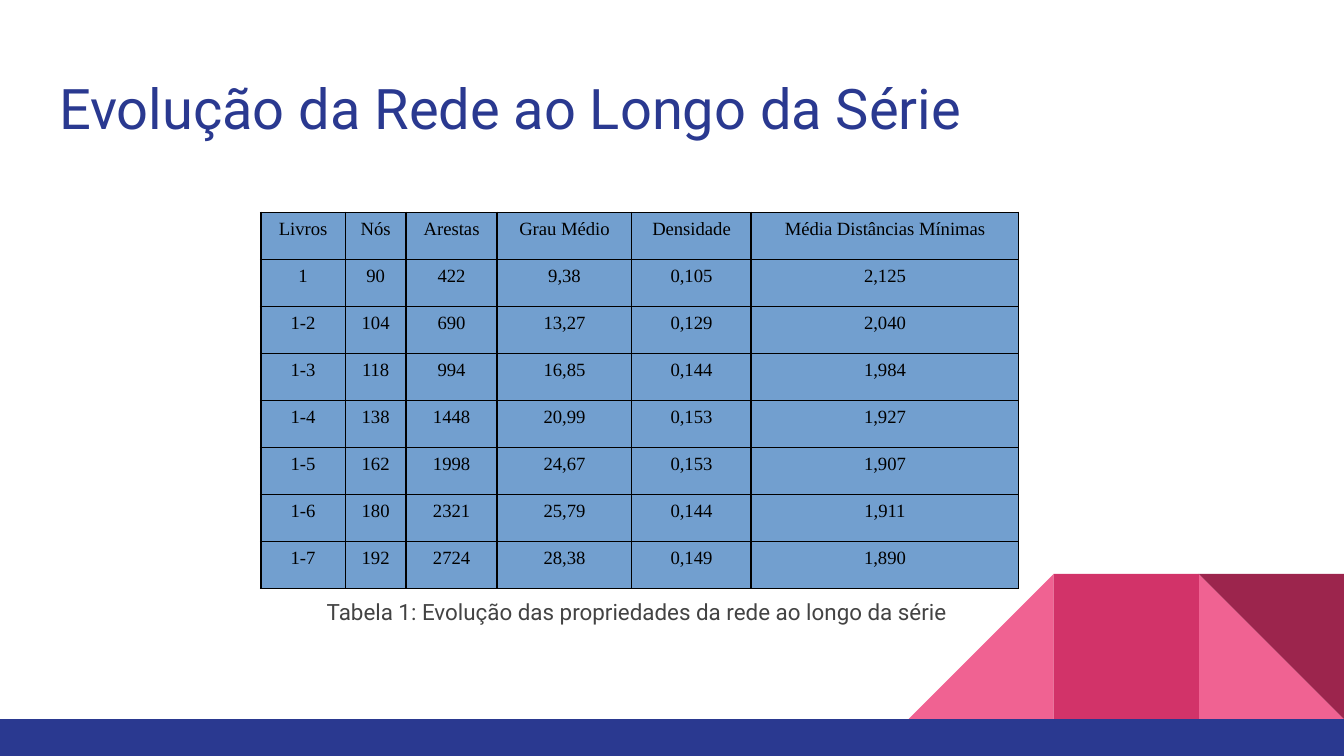
from lxml import etree
from pptx import Presentation
from pptx.dml.color import RGBColor
from pptx.enum import shapes, text
from pptx.oxml import ns
from pptx.util import Inches, Pt

NAVY = RGBColor(0x2A, 0x39, 0x90)
PINK = RGBColor(0xF0, 0x62, 0x92)
ROSE = RGBColor(0xD2, 0x33, 0x69)
WINE = RGBColor(0x9C, 0x25, 0x4D)
BLUE = RGBColor(0x72, 0x9F, 0xCF)
GRAY = RGBColor(0x43, 0x43, 0x43)
BLACK = RGBColor(0, 0, 0)

WIDTH = 10
HEIGHT = WIDTH * 9 / 16
COLS = [0.63, 0.45, 0.68, 1, 0.89, 1.99]
ROWS = [
    ["Livros", "Nós", "Arestas", "Grau Médio", "Densidade", "Média Distâncias Mínimas"],
    ["1", "90", "422", "9,38", "0,105", "2,125"],
    ["1-2", "104", "690", "13,27", "0,129", "2,040"],
    ["1-3", "118", "994", "16,85", "0,144", "1,984"],
    ["1-4", "138", "1448", "20,99", "0,153", "1,927"],
    ["1-5", "162", "1998", "24,67", "0,153", "1,907"],
    ["1-6", "180", "2321", "25,79", "0,144", "1,911"],
    ["1-7", "192", "2724", "28,38", "0,149", "1,890"],
]


def write(frame, words, font, size, color, align):
    """Fill a text frame with one styled paragraph."""
    frame.text = words
    para = frame.paragraphs[0]
    para.alignment = align
    run = para.runs[0].font
    run.name, run.size, run.bold = font, Pt(size), False
    run.color.rgb = color


def add_text(shape, box, words, size, color, align):
    """Place a text shape in its box and write its words."""
    shape.left, shape.top, shape.width, shape.height = map(Inches, box)
    frame = shape.text_frame
    frame.word_wrap = True
    frame.auto_size = text.MSO_AUTO_SIZE.NONE
    frame.vertical_anchor = text.MSO_ANCHOR.TOP
    frame.margin_left = frame.margin_right = Inches(0.1)
    frame.margin_top = frame.margin_bottom = Inches(0.1)
    write(frame, words, "Roboto", size, color, align)


def add_block(slide, kind, box, color, turn=0):
    """Draw a plain filled shape without outline."""
    shape = slide.shapes.add_shape(kind, *map(Inches, box))
    shape.shadow.inherit = False
    shape.fill.solid()
    shape.fill.fore_color.rgb = color
    shape.line.fill.background()
    shape.rotation = turn


def add_decor(slide, left, top, side):
    """Draw the triangles and square above the bottom band."""
    wedge, rect = shapes.MSO_SHAPE.RIGHT_TRIANGLE, shapes.MSO_SHAPE.RECTANGLE
    parts = [(wedge, 2, PINK, 0), (wedge, 0, PINK, 270),
             (rect, 1, ROSE, 0), (wedge, 2, WINE, 180)]
    for kind, step, color, turn in parts:
        add_block(slide, kind, (left + step * side, top, side, side), color, turn)
    base = top + side
    add_block(slide, rect, (0, base, WIDTH, HEIGHT - base), NAVY)


def add_borders(cell):
    """Give a table cell thin black lines on all sides."""
    props = cell._tc.get_or_add_tcPr()
    for side in ("lnL", "lnR", "lnT", "lnB"):
        line = etree.SubElement(props, ns.qn("a:" + side), w=str(Pt(0.96)))
        fill = etree.SubElement(line, ns.qn("a:solidFill"))
        etree.SubElement(fill, ns.qn("a:srgbClr"), val=str(BLACK))


def add_grid(slide, left, top, width, height):
    """Build the table of network properties."""
    box = map(Inches, (left, top, width, height))
    table = slide.shapes.add_table(len(ROWS), len(COLS), *box).table
    table.first_row = table.horz_banding = False
    for col, size in zip(table.columns, COLS):
        col.width = Inches(size)
    for row, words in zip(table.rows, ROWS):
        row.height = Inches(height / len(ROWS))
        for cell, word in zip(row.cells, words):
            cell.margin_left = cell.margin_right = Inches(0.07)
            cell.margin_top = cell.margin_bottom = Inches(0.05)
            add_borders(cell)
            cell.fill.solid()
            cell.fill.fore_color.rgb = BLUE
            write(cell.text_frame, word, "Times New Roman", 10, BLACK,
                  text.PP_ALIGN.CENTER)


def main():
    """Build the slide and save it."""
    deck = Presentation()
    deck.slide_width, deck.slide_height = Inches(WIDTH), Inches(HEIGHT)
    slide = deck.slides.add_slide(deck.slide_layouts[5])
    add_decor(slide, 6.76, 4.27, 1.08)
    add_text(slide.shapes.title, (0.34, 0.45, 9.32, 0.66),
             "Evolução da Rede ao Longo da Série", 30, NAVY, text.PP_ALIGN.LEFT)
    left, width = 1.94, sum(COLS)
    add_grid(slide, left, 1.58, width, 2.8)
    note = slide.shapes.add_textbox(0, 0, 0, 0)
    add_text(note, (left, 4.35, width, 0.51),
             "Tabela 1: Evolução das propriedades da rede ao longo da série ",
             12, GRAY, text.PP_ALIGN.CENTER)
    deck.save("out.pptx")


if __name__ == "__main__":
    main()
